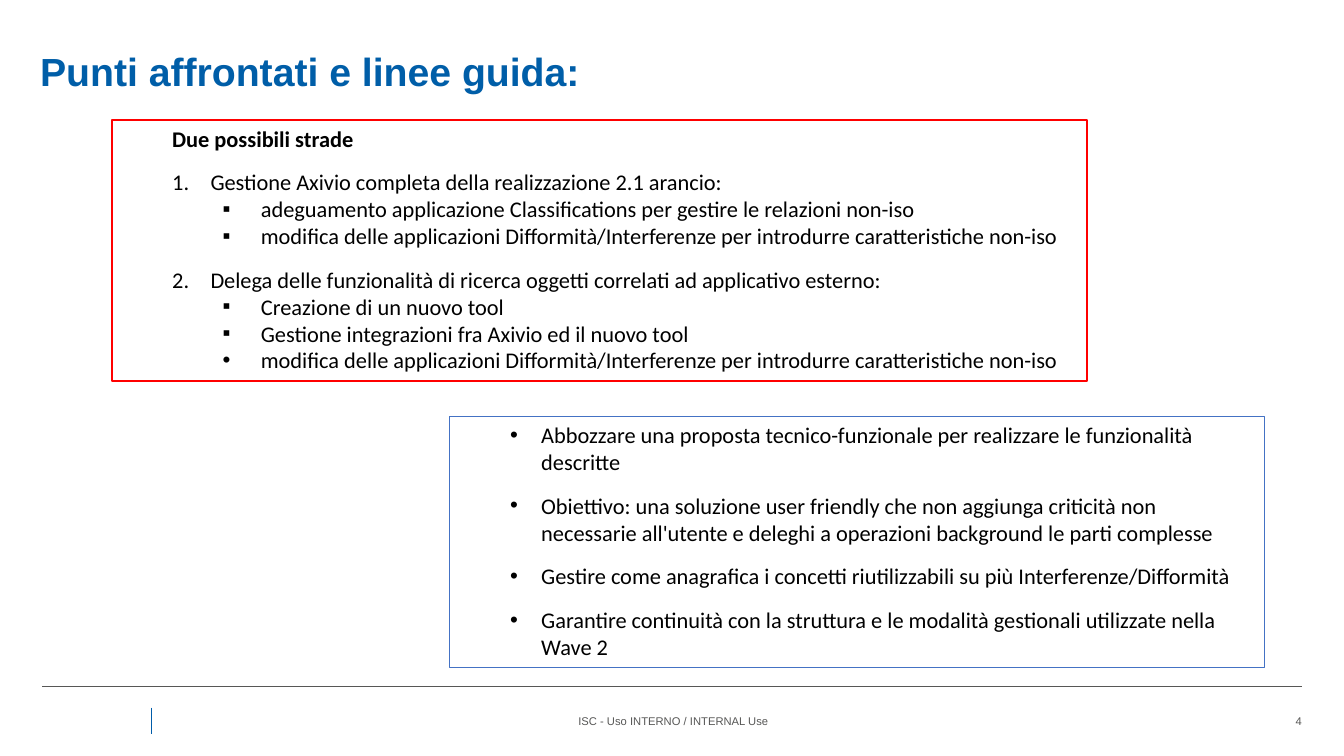
from lxml import etree
from pptx import Presentation
from pptx.dml.color import RGBColor
from pptx.enum.shapes import MSO_CONNECTOR, MSO_SHAPE
from pptx.enum.text import MSO_ANCHOR, PP_ALIGN
from pptx.oxml.ns import qn
from pptx.util import Inches, Pt

STRAIGHT = MSO_CONNECTOR.STRAIGHT
RECTANGLE = MSO_SHAPE.RECTANGLE
TOP, MIDDLE = MSO_ANCHOR.TOP, MSO_ANCHOR.MIDDLE
LEFT, CENTER, RIGHT = PP_ALIGN.LEFT, PP_ALIGN.CENTER, PP_ALIGN.RIGHT

WIDTH, HEIGHT = 13.33, 7.5
GREY, BLACK = "575756", "000000"
SQUARE, DOT, NUMBER = "▪", "•", "1."

HEADING_STYLE = dict(level=1, margin=0.5, before=12, bold=True)
OPTION_STYLE = dict(level=1, margin=0.88, hanging=0.38, before=12, bullet=NUMBER)
DETAIL_STYLE = dict(level=2, margin=1.38, hanging=0.38, bullet=SQUARE)
LAST_DETAIL_STYLE = dict(DETAIL_STYLE, bullet=DOT)
GOAL_STYLE = dict(level=1, margin=0.81, hanging=0.31, before=12, bullet=DOT)

CHANGES = ("modifica delle applicazioni Difformità/Interferenze "
           "per introdurre caratteristiche non-iso")
OPTIONS = [
    ("Due possibili strade", HEADING_STYLE),
    ("Gestione\u00a0Axivio completa della realizzazione 2.1 arancio:", OPTION_STYLE),
    ("adeguamento applicazione Classifications per gestire le relazioni non-iso",
     DETAIL_STYLE),
    (CHANGES, DETAIL_STYLE),
    ("Delega delle funzionalità di ricerca oggetti correlati ad applicativo esterno:",
     OPTION_STYLE),
    ("Creazione di un nuovo tool", DETAIL_STYLE),
    ("Gestione integrazioni fra Axivio ed il nuovo tool", DETAIL_STYLE),
    (CHANGES, LAST_DETAIL_STYLE),
]
GOALS = [(text, GOAL_STYLE) for text in (
    "Abbozzare una proposta tecnico-funzionale per realizzare le funzionalità descritte",
    "Obiettivo: una soluzione user friendly che non aggiunga criticità non necessarie "
    "all'utente e deleghi a operazioni background le parti complesse",
    "Gestire\u00a0come anagrafica i concetti riutilizzabili su più Interferenze/Difformità",
    "Garantire continuità con la struttura e le modalità gestionali utilizzate nella Wave 2",
)]


def colour(code):
    return RGBColor.from_string(code)


def add_span(para, text, font, size, code, bold=False):
    span = para.add_run()
    span.text = text
    span.font.name = font
    span.font.size = Pt(size)
    span.font.bold = bold
    span.font.color.rgb = colour(code)


def set_bullet(para, bullet):
    properties = para._p.get_or_add_pPr()
    if bullet == NUMBER:
        etree.SubElement(properties, qn("a:buFont"), typeface="+mj-lt")
        etree.SubElement(properties, qn("a:buAutoNum"), type="arabicPeriod")
    elif bullet:
        etree.SubElement(properties, qn("a:buFont"), typeface="Arial")
        etree.SubElement(properties, qn("a:buChar"), char=bullet)
    else:
        etree.SubElement(properties, qn("a:buNone"))


def add_item(para, text, level, margin, hanging=0, before=0, bullet=None, bold=False):
    set_bullet(para, bullet)
    para.level = level
    para.alignment = LEFT
    para.space_before = Pt(before)
    properties = para._p.get_or_add_pPr()
    properties.set("marL", str(Inches(margin)))
    properties.set("indent", str(-Inches(hanging)))
    add_span(para, text, "Calibri", 16, BLACK, bold)


def add_panel(page, box, items, outline, weight, fill=None):
    panel = page.shapes.add_shape(RECTANGLE, *map(Inches, box))
    panel.shadow.inherit = False
    panel.line.color.rgb = colour(outline)
    panel.line.width = Pt(weight)
    if fill:
        panel.fill.solid()
        panel.fill.fore_color.rgb = colour(fill)
    else:
        panel.fill.background()
    frame = panel.text_frame
    frame.word_wrap = True
    frame.vertical_anchor = TOP
    for index, (text, style) in enumerate(items):
        para = frame.add_paragraph() if index else frame.paragraphs[0]
        add_item(para, text, **dict(style, before=style.get("before", 0) if index else 0))


def add_label(page, box, text, size, code, align=LEFT, inset=0.1, bold=False):
    label = page.shapes.add_textbox(*map(Inches, box))
    frame = label.text_frame
    frame.word_wrap = True
    frame.vertical_anchor = MIDDLE
    frame.margin_left = frame.margin_right = Inches(inset)
    frame.margin_top = frame.margin_bottom = 0
    para = frame.paragraphs[0]
    para.alignment = align
    add_span(para, text, "Arial", size, code, bold)


def add_rule(page, start, end, code, weight):
    rule = page.shapes.add_connector(STRAIGHT, *map(Inches, start + end))
    rule.line.color.rgb = colour(code)
    rule.line.width = Pt(weight)
    etree.SubElement(rule._element.spPr, qn("a:effectLst"))


def add_footer(page, box):
    left, top, width, height = box
    text_top = top + 0.28
    add_rule(page, (left, top), (left + width, top), GREY, 0.5)
    add_label(page, (left + 5.26, text_top, 2, 0.13),
              "ISC - Uso INTERNO / INTERNAL Use", 8, GREY, CENTER, inset=0)
    add_label(page, (left + width - 0.37, text_top, 0.47, 0.13), "4", 8, GREY, RIGHT)
    add_rule(page, (left + 1.08, top + 0.21), (left + 1.08, top + height),
             "005CA9", 0.75)


def main():
    deck = Presentation()
    deck.slide_width, deck.slide_height = Inches(WIDTH), Inches(HEIGHT)
    page = deck.slides.add_slide(deck.slide_layouts[6])
    add_footer(page, (0.42, 6.81, 12.49, 0.47))
    add_label(page, (0.3, 0.53, 12.57, 0.35), "Punti affrontati e linee guida:",
              28, "005EA8", bold=True)
    add_panel(page, (4.46, 4.13, 8.08, 2.49), GOALS, "4472C4", 0.75)
    add_panel(page, (1.11, 1.19, 9.67, 2.59), OPTIONS, "FF0000", 1, "FFFFFF")
    deck.save("out.pptx")


if __name__ == "__main__":
    main()
